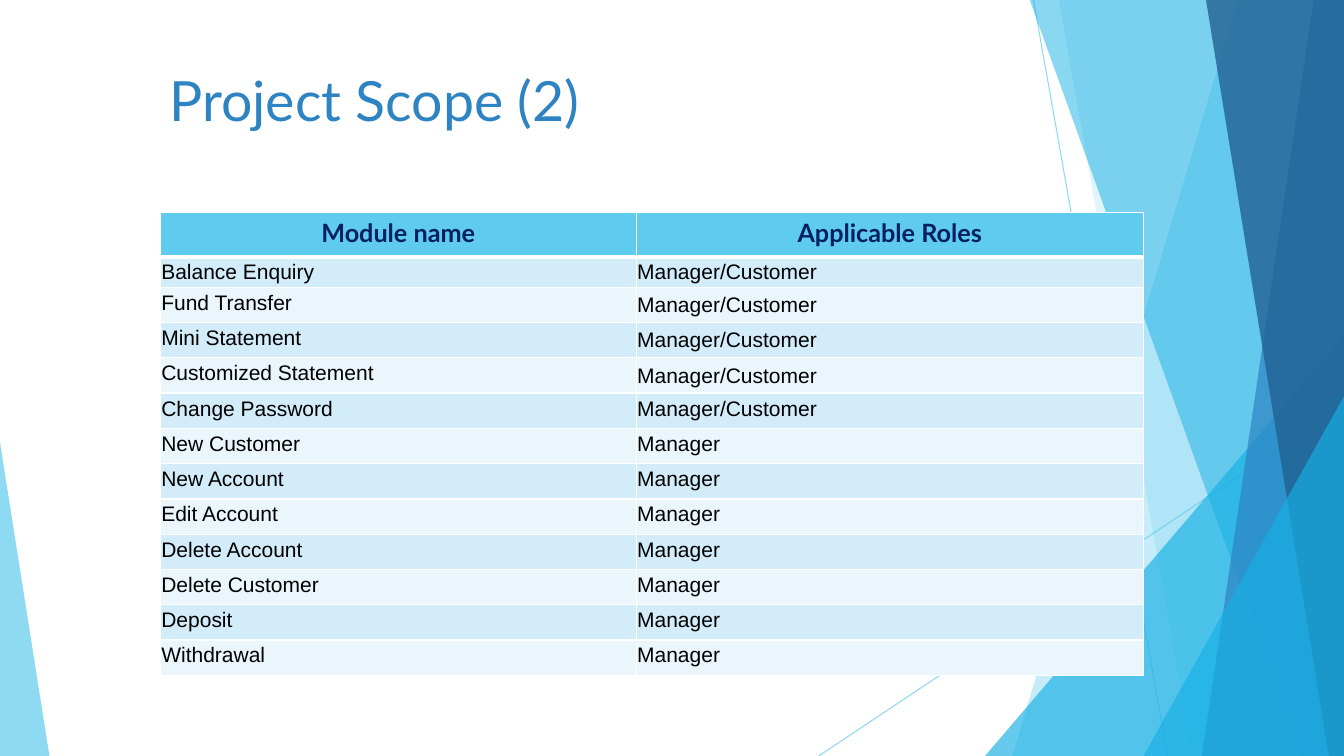
from lxml.etree import SubElement
from pptx import Presentation
from pptx.dml.color import RGBColor
from pptx.enum.shapes import MSO_CONNECTOR as Connector, MSO_SHAPE as Shape
from pptx.enum.text import MSO_ANCHOR as Anchor, PP_ALIGN as Align
from pptx.oxml.ns import qn
from pptx.util import Inches, Pt

TITLE = "Project Scope (2)"
HEADERS = ("Module name", "Applicable\u00a0Roles")
SHARED = ("Balance Enquiry", "Fund Transfer", "Mini Statement",
          "Customized Statement", "Change Password")
MANAGER_ONLY = ("New Customer", "New Account", "Edit Account", "Delete Account",
                "Delete Customer", "Deposit", "Withdrawal")
ROWS = [HEADERS] + [(name, "Manager/Customer") for name in SHARED]
ROWS += [(name, "Manager") for name in MANAGER_ONLY]

COLUMN_WIDTHS = (4.72, 5.03)
ROW_HEIGHTS = [0.44, 0.3] + [0.35] * (len(ROWS) - 2)
LAST_TIGHT_ROW = (1, 4)
BANDS = ("EAF6FC", "D2ECF9")
SKY, CYAN, BLUE, NAVY = "5FCBEF", "17B0E4", "2E83C3", "226292"

WIDTH, HEIGHT, BAND_TOP = 13.33, 7.5, -0.01
RAYS = [(10.25, 0, 11.58, HEIGHT), (WIDTH, 4.03, 8.12, HEIGHT)]
FACETS = [
    ("band", (12.28, 10.04), SKY, 36),
    ("band", (10.5, 11.83), SKY, 20),
    ("triangle", (9.77, 3.33, 3.56, 1), CYAN, 66),
    ("band", (10.21, 12.91), CYAN, 50),
    ("band", (13.03, 11.92), BLUE, 70),
    ("band", (11.96, 13.18), NAVY, 80),
    ("triangle", (11.34, 3.93, 1.99, 1), CYAN, 66),
    ("triangle", (0, 4.39, 0.49, 0), SKY, 70),
]


def paint(fill, color, opacity=100):
    fill.solid()
    fill.fore_color.rgb = RGBColor.from_string(color)
    if opacity < 100:
        for node in fill.fore_color._xFill.iter(qn("a:srgbClr")):
            SubElement(node, qn("a:alpha"), val=str(opacity * 1000))


def style(para, font, size, color, bold=False):
    for span in para.runs:
        span.font.name, span.font.size, span.font.bold = font, Pt(size), bold
        paint(span.font.fill, color)


def add_ray(page, ends):
    ray = page.shapes.add_connector(Connector.STRAIGHT, *map(Inches, ends))
    ray.line.width = Pt(0.75)
    paint(ray.line.fill, SKY, 70)
    SubElement(ray.element.spPr, qn("a:effectLst"))


def add_facet(page, kind, place, color, opacity):
    if kind == "band":
        top_x, bottom_x = place
        corners = [(WIDTH, BAND_TOP), (WIDTH, HEIGHT), (bottom_x, HEIGHT)]
        builder = page.shapes.build_freeform(Inches(top_x), Inches(BAND_TOP))
        builder.add_line_segments([(Inches(x), Inches(y)) for x, y in corners])
        facet = builder.convert_to_shape()
    else:
        left, top, width, apex = place
        box = map(Inches, (left, top, width, HEIGHT - top))
        facet = page.shapes.add_shape(Shape.ISOSCELES_TRIANGLE, *box)
        facet.adjustments[0] = apex
    facet.shadow.inherit = False
    facet.line.fill.background()
    paint(facet.fill, color, opacity)


def add_borders(cell, top, bottom):
    properties = cell._tc.get_or_add_tcPr()
    for place, (side, width) in enumerate(
            (("L", 1), ("R", 1), ("T", top), ("B", bottom))):
        border = SubElement(properties, qn(f"a:ln{side}"), w=str(Pt(width)))
        fill = SubElement(border, qn("a:solidFill"))
        SubElement(fill, qn("a:srgbClr"), val="FFFFFF")
        properties.insert(place, border)


def fill_cell(cell, text, row, column):
    cell.text = text
    para = cell.text_frame.paragraphs[0]
    if row == 0:
        para.alignment = Align.CENTER
        style(para, "Lato", 18, "002060", True)
    else:
        cell.vertical_anchor = Anchor.MIDDLE
        cell.margin_left = cell.margin_right = cell.margin_top = Inches(0.01)
        cell.margin_bottom = Inches(0 if row <= LAST_TIGHT_ROW[column] else 0.05)
        style(para, "Arial", 15, "000000")
    paint(cell.fill, BANDS[row % 2] if row else SKY)
    add_borders(cell, 3 if row == 1 else 1, 3 if row == 0 else 1)


deck = Presentation()
deck.slide_width, deck.slide_height = Inches(WIDTH), Inches(HEIGHT)
page = deck.slides.add_slide(deck.slide_layouts[5])

for ends in RAYS:
    add_ray(page, ends)
for facet in FACETS:
    add_facet(page, *facet)

title = page.shapes.title
title.element.getparent().append(title.element)
title.left, title.top, title.width, title.height = map(Inches, (1.58, 0.61, 9.4, 1.44))
title.text_frame.text = TITLE
title.text_frame.vertical_anchor = Anchor.TOP
heading = title.text_frame.paragraphs[0]
heading.alignment = Align.LEFT
style(heading, "Lato", 39.6, BLUE)

frame = page.shapes.add_table(
    len(ROWS), len(HEADERS), Inches(1.59), Inches(2.11),
    Inches(sum(COLUMN_WIDTHS)), Inches(sum(ROW_HEIGHTS)))
modules = frame.table
for column, width in zip(modules.columns, COLUMN_WIDTHS):
    column.width = Inches(width)
for row, height in zip(modules.rows, ROW_HEIGHTS):
    row.height = Inches(height)
for row, texts in enumerate(ROWS):
    for column, text in enumerate(texts):
        fill_cell(modules.cell(row, column), text, row, column)

deck.save("out.pptx")
